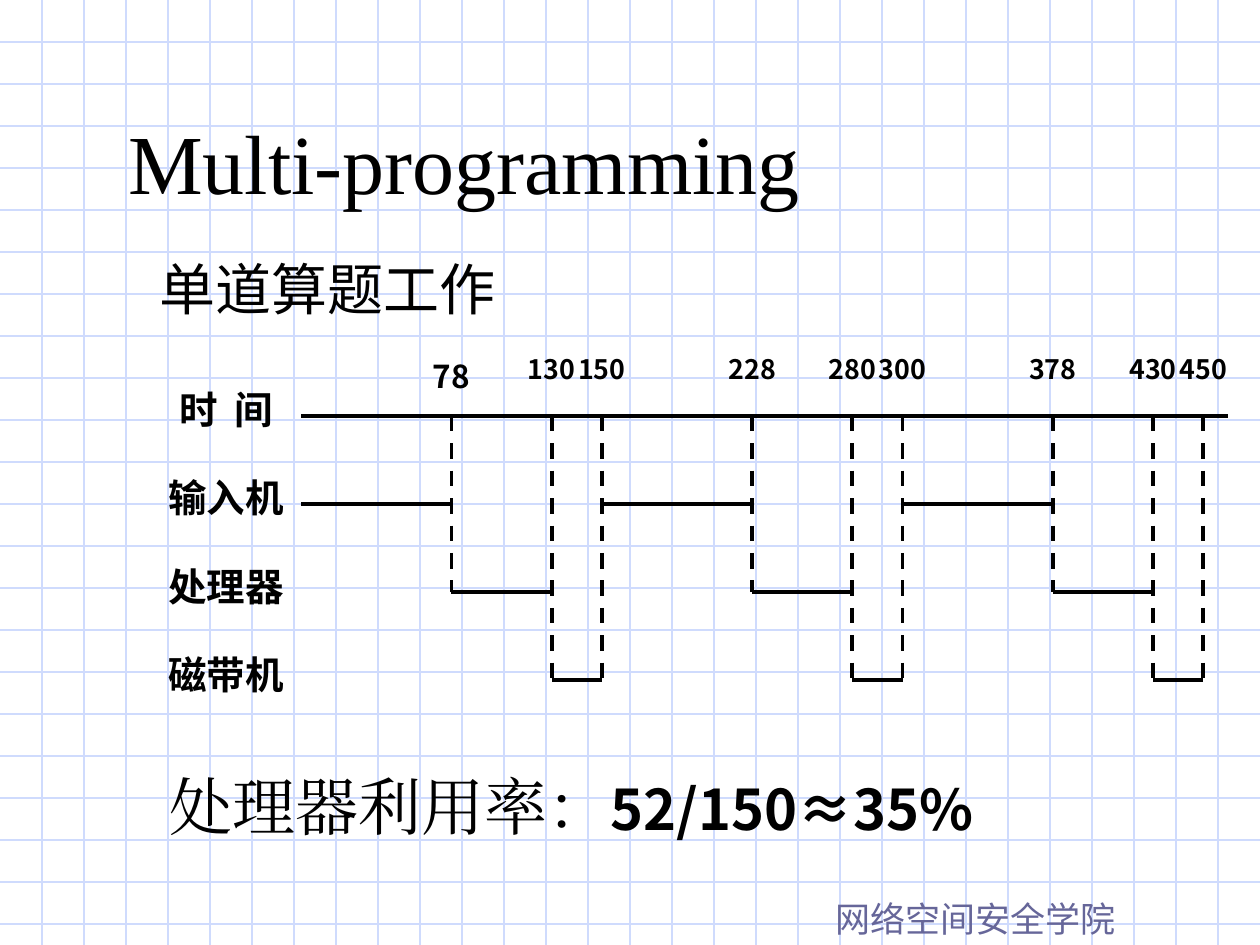
"""Build the slide on processor use when jobs run one at a time."""
from pptx import Presentation
from pptx.dml.color import RGBColor
from pptx.enum.dml import MSO_LINE as Dash
from pptx.enum.shapes import MSO_CONNECTOR as Conn
from pptx.enum.text import MSO_ANCHOR as Anchor, PP_ALIGN as Align
from pptx.util import Inches, Pt
from lxml.etree import SubElement
from pptx.oxml.ns import qn

WIDE, HIGH = 10, 7.5
HUES = {"grid": "CFDBFD", "ink": "000000", "foot": "666699"}
SANS, SERIF = "Noto Sans CJK SC", "Times New Roman"
PAD, NONE = (0.1, 0.05, 0.1, 0.05), (0, 0, 0, 0)

TEXTS = [
    ((6.53, 7.07, 3.47, 0.44), [("网络空间安全学院", 20, "Noto Sans CJK JP", False)], "foot", PAD, {}, Anchor.TOP),
    ((0.92, 0.83, 8.25, 0.9), [("Multi-programming", 48, SERIF, False)], "ink", PAD, {}, Anchor.BOTTOM),
    ((1.17, 1.92, 8.42, 0.75), [("单道算题工作", 32, "Cabin", False)], "ink", PAD,
     {"alignment": Align.JUSTIFY, "line_spacing": 1.1}, Anchor.TOP),
    ((1.25, 5.92, 8.17, 0.82), [("处理器利用率：", 36, SERIF, False), ("52/150≈35%", 32, SANS, True)],
     "ink", (0.1, 0, 0.1, 0.05), {"line_spacing": 1.28}, Anchor.TOP),
]
ROWS = [["时", " ", "间"], ["输入机"], ["处理器"], ["磁带机"]]
STEPS = [(1, 78, 3), (2, 52, 2), (3, 20, 1)]
ROUNDS = 3
LEFT, TOP, RIGHT = 2.39, 3.3, 9.55
COLS = ROUNDS * sum(span for _, _, span in STEPS)
COL, ROW = (RIGHT - LEFT) / COLS, 0.7
TAG_W, TAG_H = 1.19, 0.47

deck = Presentation()
deck.slide_width, deck.slide_height = Inches(WIDE), Inches(HIGH)
slide = deck.slides.add_slide(deck.slide_layouts[6])


def rule(x1, y1, x2, y2, hue="ink", size=2.25, dash=None):
    line = slide.shapes.add_connector(Conn.STRAIGHT, *map(Inches, (x1, y1, x2, y2)))
    line.line.color.rgb = RGBColor.from_string(HUES[hue])
    line.line.width = Pt(size)
    if dash:
        line.line.dash_style = dash
    SubElement(line._element.spPr, qn("a:effectLst"))


def write(spot, runs, hue="ink", pad=NONE, form={}, anchor=Anchor.TOP):
    frame = slide.shapes.add_textbox(*map(Inches, spot)).text_frame
    frame.word_wrap, frame.vertical_anchor = True, anchor
    for side, size in zip(("left", "top", "right", "bottom"), pad):
        setattr(frame, f"margin_{side}", Inches(size))
    para = frame.paragraphs[0]
    for key, value in form.items():
        setattr(para, key, value)
    for text, size, face, bold in runs:
        run = para.add_run()
        run.text = text
        for key, value in {"size": Pt(size), "name": face, "bold": bold}.items():
            setattr(run.font, key, value)
        run.font.color.rgb = RGBColor.from_string(HUES[hue])
        props = run._r.get_or_add_rPr()
        SubElement(props, qn("a:ea")).set("typeface", face)
        if text == " ":
            props.set("spc", "490")


def grid():
    for i in range(1, 23):
        rule(0, i / 3, WIDE, i / 3, "grid", 0.75)
    for i in range(1, 30):
        rule(i / 3, 0, i / 3, HIGH, "grid", 0.75)


def chart():
    for i, parts in enumerate(ROWS):
        spot = (LEFT - TAG_W, TOP + i * ROW - TAG_H / 2, TAG_W, TAG_H)
        write(spot, [(part, 22, SANS, True) for part in parts], form={"alignment": Align.CENTER})
    rule(LEFT, TOP, RIGHT + COL / 2, TOP)
    x, time = LEFT, 0
    for row, cost, span in STEPS * ROUNDS:
        end, y = x + span * COL, TOP + row * ROW
        time += cost
        rule(x, y, end, y)
        rule(end, TOP, end, TOP + min(row + 1, len(STEPS)) * ROW, dash=Dash.DASH)
        size, gap = (18, 1) if time < 100 else (15.3, 0.9)
        write((end - COL / 2, TOP - TAG_H, COL, TAG_H), [(str(time), size, SANS, True)],
              form={"alignment": Align.CENTER, "line_spacing": gap})
        x = end


grid()
for item in TEXTS:
    write(*item)
chart()
deck.save("out.pptx")
